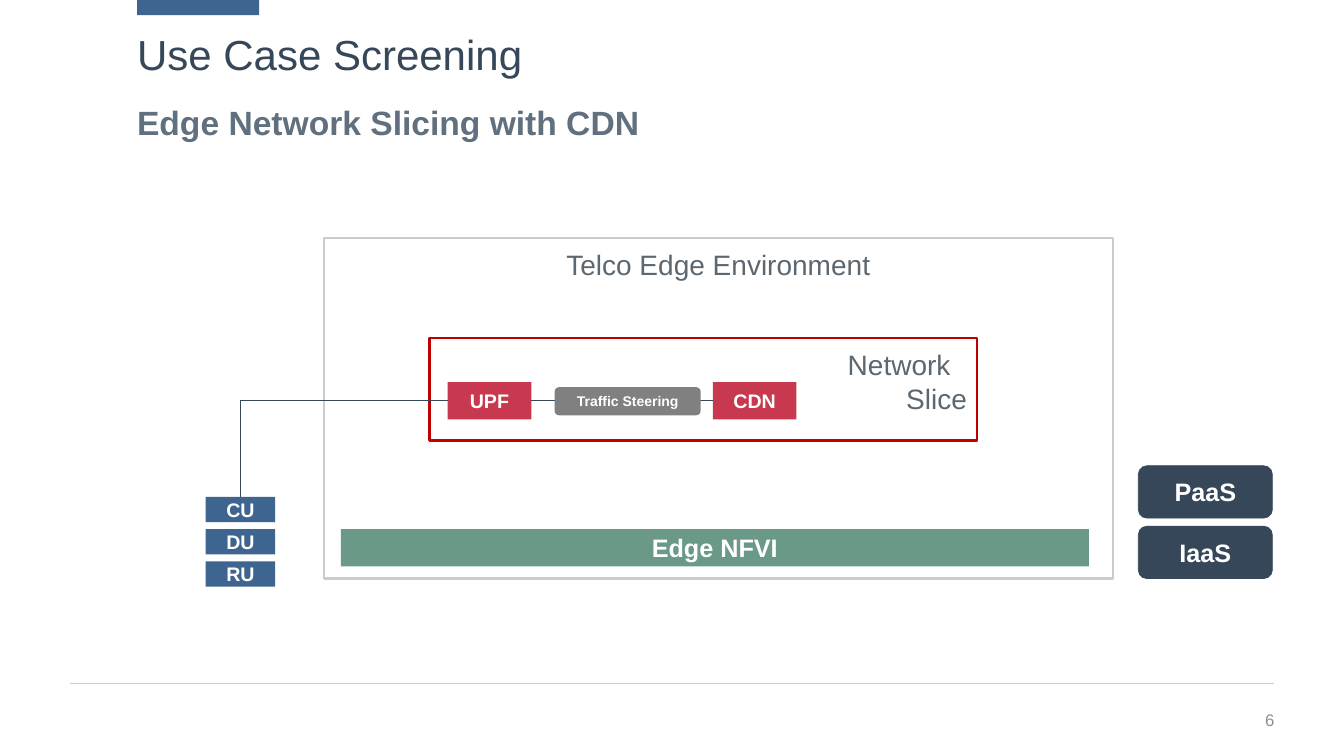
from pptx import Presentation, util as u
from pptx.dml.color import RGBColor
from pptx.enum import shapes, text
from pptx.oxml.ns import qn
from lxml import etree

NAVY = RGBColor(0x36, 0x47, 0x59)
BLUE = RGBColor(0x3E, 0x65, 0x8F)
SLATE = RGBColor(0x61, 0x70, 0x7E)
LABEL = RGBColor(0x5B, 0x67, 0x71)
RULE = RGBColor(0xC7, 0xCD, 0xD2)
FOOTER = RGBColor(0x8C, 0x8E, 0x91)
CRIMSON = RGBColor(0xC8, 0x39, 0x4F)
RED = RGBColor(0xC0, 0x00, 0x00)
GREEN = RGBColor(0x6B, 0x99, 0x88)
GRAY = RGBColor(0x80, 0x80, 0x80)
WHITE = RGBColor(0xFF, 0xFF, 0xFF)

RECT = shapes.MSO_SHAPE.RECTANGLE
ROUNDED = shapes.MSO_SHAPE.ROUNDED_RECTANGLE
STRAIGHT = shapes.MSO_CONNECTOR.STRAIGHT
ALIGN = text.PP_ALIGN
ANCHOR = text.MSO_ANCHOR
TOP, LEFT, RIGHT = 0, 1, 3


class SlideBuilder:
    font_name = "Arial"

    def __init__(self, slide):
        self.slide = slide

    def set_text(self, shape, lines, size, color, bold=False, align=ALIGN.LEFT,
                 anchor=ANCHOR.TOP, insets=(0, 0, 0, 0)):
        frame = shape.text_frame
        left, top, right, bottom = map(u.Inches, insets)
        layout = {"word_wrap": True, "vertical_anchor": anchor,
                  "margin_left": left, "margin_top": top,
                  "margin_right": right, "margin_bottom": bottom}
        for key, value in layout.items():
            setattr(frame, key, value)
        frame.text = lines
        style = {"name": self.font_name, "size": u.Pt(size), "bold": bold}
        for paragraph in frame.paragraphs:
            paragraph.alignment = align
            for run in paragraph.runs:
                for key, value in style.items():
                    setattr(run.font, key, value)
                run.font.color.rgb = color
        return frame

    def label(self, box, lines, size, color, **style):
        textbox = self.slide.shapes.add_textbox(*map(u.Inches, box))
        return self.set_text(textbox, lines, size, color, **style)

    def block(self, box, fill=None, kind=RECT, outline=None, width=1.5):
        shape = self.slide.shapes.add_shape(kind, *map(u.Inches, box))
        shape.shadow.inherit = False
        if fill is None:
            shape.fill.background()
        else:
            shape.fill.solid()
            shape.fill.fore_color.rgb = fill
        if outline is None:
            shape.line.fill.background()
        else:
            shape.line.color.rgb = outline
            shape.line.width = u.Pt(width)
        return shape

    def node(self, box, caption, size, fill, **look):
        shape = self.block(box, fill, **look)
        self.set_text(shape, caption, size, WHITE, bold=True, align=ALIGN.CENTER,
                      anchor=ANCHOR.MIDDLE, insets=(0.1, 0.05, 0.1, 0.05))
        return shape

    def frame(self, box, caption, outline, align):
        shape = self.block(box, outline=outline)
        return self.set_text(shape, caption, 20, LABEL, align=align,
                             insets=(0.1, 0.1, 0.1, 0.05))

    def line(self, ends, color, width, kind=STRAIGHT):
        connector = self.slide.shapes.add_connector(kind, *map(u.Inches, ends))
        connector.line.color.rgb = color
        connector.line.width = u.Pt(width)
        etree.SubElement(connector._element.spPr, qn("a:effectLst"))
        return connector

    def link(self, start, start_side, end, end_side, kind=STRAIGHT):
        connector = self.line((0, 0, 0, 0), NAVY, 0.75, kind)
        connector.begin_connect(start, start_side)
        connector.end_connect(end, end_side)
        return connector

    def corner_link(self, start, end):
        connector = self.link(start, TOP, end, LEFT, shapes.MSO_CONNECTOR.ELBOW)
        across, rise = connector.width, connector.height
        shift = (across - rise) // 2
        turned = {"left": connector.left + shift, "top": connector.top - shift,
                  "width": rise, "height": across}
        for key, value in turned.items():
            setattr(connector, key, value)
        properties = connector._element.spPr
        properties.find(qn("a:prstGeom")).set("prst", "bentConnector2")
        for key, value in {"rot": "5400000", "flipH": "1", "flipV": "1"}.items():
            properties.find(qn("a:xfrm")).set(key, value)


def main():
    deck = Presentation()
    deck.slide_width, deck.slide_height = u.Inches(13.33), u.Inches(7.5)
    page = SlideBuilder(deck.slides.add_slide(deck.slide_layouts[6]))

    page.label((11.97, 6.94, 0.67, 0.4), "6", 12, FOOTER,
               align=ALIGN.RIGHT, anchor=ANCHOR.MIDDLE)
    page.line((0.69, 6.78, 12.64, 6.78), RULE, 1)
    page.block((1.36, 0, 1.21, 0.15), BLUE)
    page.label((1.36, 1.01, 11.27, 0.5), "Edge Network Slicing with CDN", 24,
               SLATE, bold=True)
    title = page.label((1.36, 0.32, 10.61, 0.48), "Use Case Screening", 30, NAVY)
    title.paragraphs[0].line_spacing = 0.95

    page.frame((3.21, 2.36, 7.83, 3.38), "Telco Edge Environment", RULE, ALIGN.CENTER)
    network_slice = page.frame((4.26, 3.35, 5.43, 1.02), "Network\nSlice", RED, ALIGN.RIGHT)
    network = network_slice.paragraphs[0]
    network.alignment = ALIGN.LEFT
    indent = {"marL": str(u.Inches(4.05)), "indent": "0"}
    for key, value in indent.items():
        network._p.get_or_add_pPr().set(key, value)

    page.node((3.38, 5.25, 7.42, 0.37), "Edge NFVI", 18, GREEN)
    upf, cdn = [page.node((left, 3.79, 0.83, 0.37), caption, 14, CRIMSON)
                for left, caption in ((4.44, "UPF"), (7.07, "CDN"))]
    radio_units = [page.node((2.04, 4.93 + row * 0.32, 0.69, 0.25), caption, 14, BLUE)
                   for row, caption in enumerate(("CU", "DU", "RU"))]
    for row, caption in enumerate(("PaaS", "IaaS")):
        page.node((11.29, 4.62 + row * 0.6, 1.33, 0.52), caption, 18, NAVY,
                  kind=ROUNDED, outline=NAVY, width=0.5)

    page.link(upf, RIGHT, cdn, LEFT)
    page.corner_link(radio_units[0], upf)
    page.node((5.5, 3.84, 1.45, 0.28), "Traffic Steering", 10, GRAY, kind=ROUNDED)

    deck.save("out.pptx")


if __name__ == "__main__":
    main()
